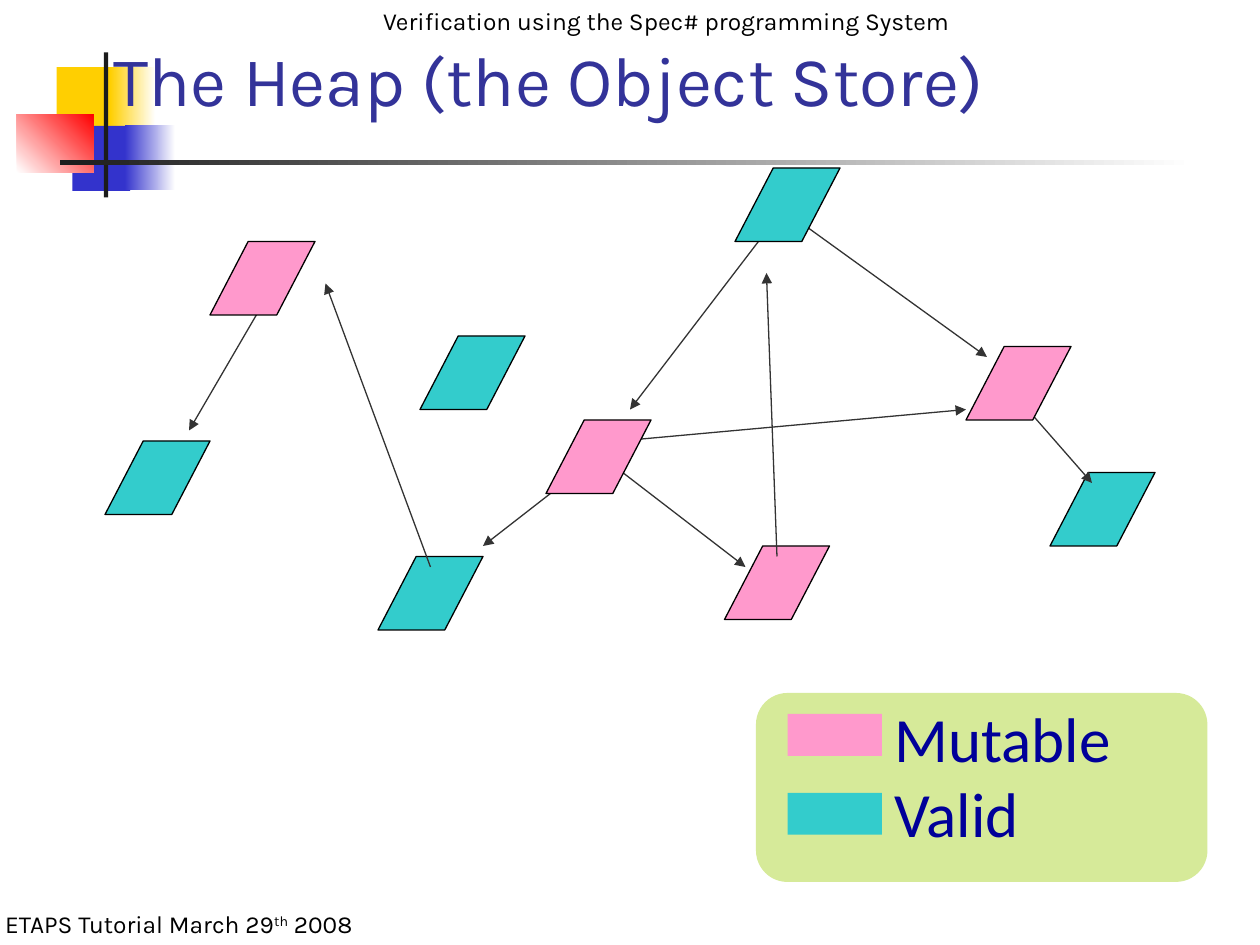
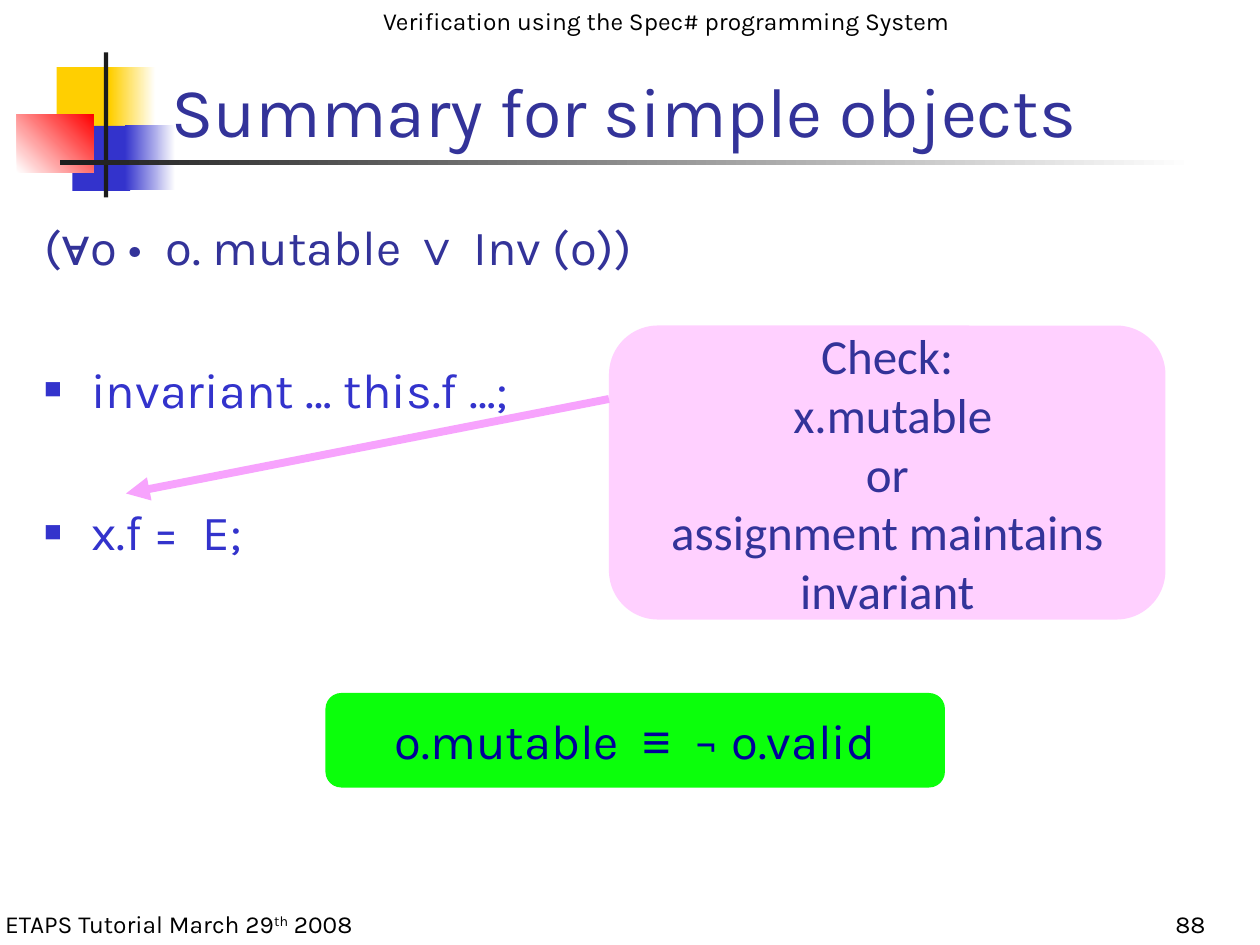
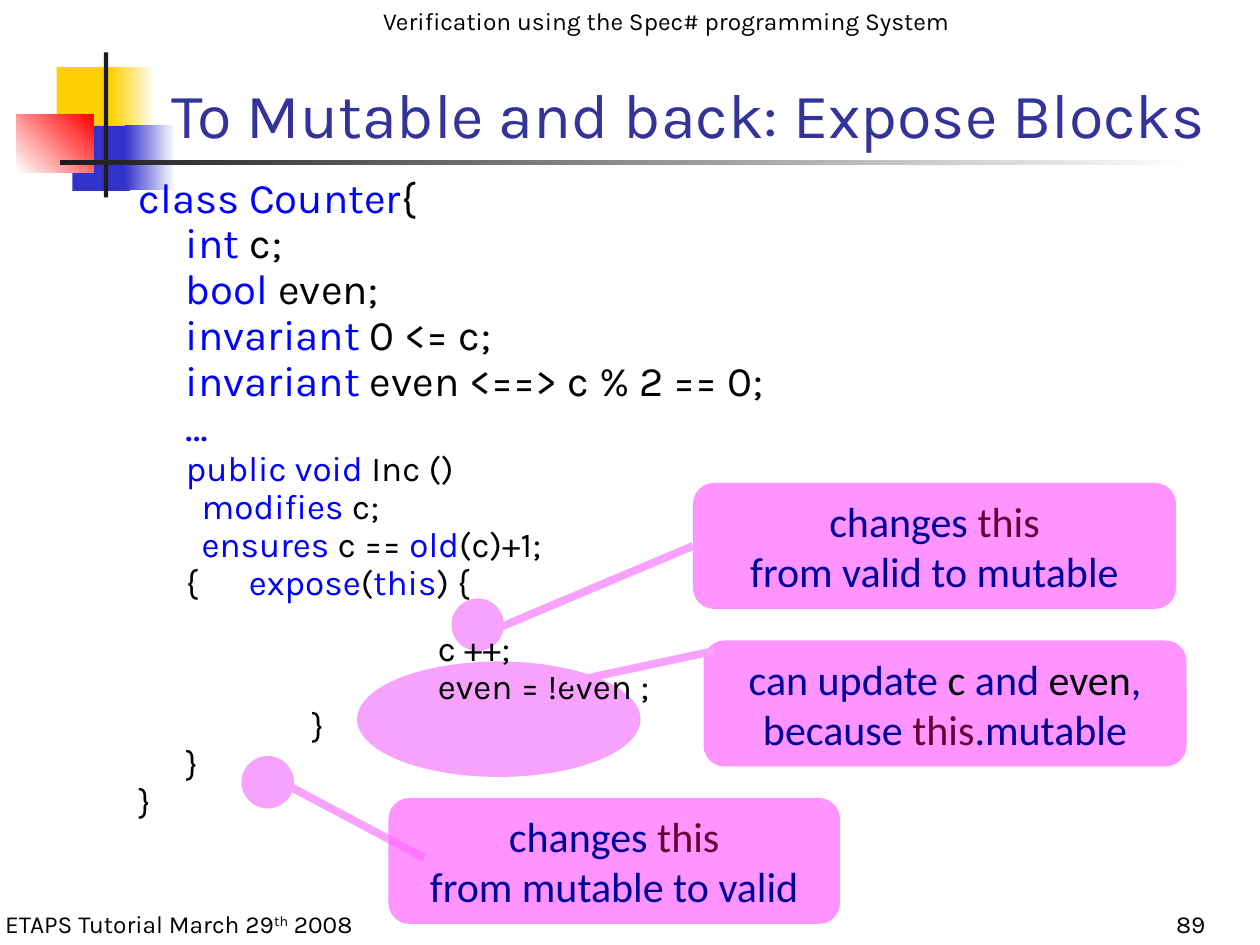
from typing import NamedTuple

from lxml.etree import SubElement
from pptx import Presentation
from pptx.dml.color import RGBColor
from pptx.enum.shapes import MSO_CONNECTOR, MSO_SHAPE
from pptx.enum.text import MSO_ANCHOR, MSO_AUTO_SIZE, PP_ALIGN
from pptx.oxml.ns import qn
from pptx.util import Emu, Pt

PX = 7620
KARLA, CALIBRI, ARIAL = "Karla", "Calibri", "Arial"

BLACK = RGBColor(0x00, 0x00, 0x00)
WHITE = RGBColor(0xFF, 0xFF, 0xFF)
CHARCOAL = RGBColor(0x1C, 0x1C, 0x1C)
ARROW_GREY = RGBColor(0x33, 0x33, 0x33)
YELLOW = RGBColor(0xFF, 0xCF, 0x01)
RED = RGBColor(0xFF, 0x00, 0x00)
BLUE = RGBColor(0x33, 0x33, 0xCC)
TITLE_BLUE = RGBColor(0x33, 0x33, 0x99)
NAVY = RGBColor(0x00, 0x00, 0x99)
KEYWORD_BLUE = RGBColor(0x00, 0x00, 0xFF)
MAROON = RGBColor(0x66, 0x00, 0x33)
MUTABLE = RGBColor(0xFF, 0x99, 0xCC)
VALID = RGBColor(0x33, 0xCC, 0xCC)
LIME = RGBColor(0x99, 0xCC, 0x00)
GREEN = RGBColor(0x0B, 0xFF, 0x0B)
MAGENTA = RGBColor(0xFF, 0x66, 0xFF)
ORCHID = RGBColor(0xF7, 0xA3, 0xFD)


class Box(NamedTuple):
    """A rectangle in px."""
    left: int
    top: int
    width: int
    height: int

    def inner(self, x, y, width, height):
        """Return a box placed relative to this one."""
        return Box(self.left + x, self.top + y, width, height)

    def emu(self):
        """Return the four lengths in EMU."""
        return [Emu(length * PX) for length in self]


PAGE = Box(0, 0, 1200, 900)
TITLE_BOX = Box(151, 0, 1022, 150)


def set_frame(shape, anchor=MSO_ANCHOR.TOP, wrap=True):
    """Prepare the text frame of a shape and return it."""
    frame = shape.text_frame
    frame.auto_size = MSO_AUTO_SIZE.NONE
    frame.vertical_anchor = anchor
    frame.word_wrap = wrap
    return frame


def write(frame, *runs, font=KARLA, size=14, color=BLACK, align=PP_ALIGN.LEFT, before=0,
          spacing=1.0, indent=0, hanging=0, bullet=None, tab=None):
    """Add a paragraph of runs, each a string or a (string, changes) pair."""
    paragraph = frame.paragraphs[-1]
    if paragraph.runs:
        paragraph = frame.add_paragraph()
    paragraph.alignment = align
    paragraph.space_before = Pt(before)
    paragraph.line_spacing = spacing
    for entry in runs:
        text, changes = (entry, {}) if isinstance(entry, str) else entry
        for number, line in enumerate(text.split("\n")):
            if number:
                paragraph.add_line_break()
            if not line:
                continue
            run = paragraph.add_run()
            run.text = line
            run.font.name = changes.get("font", font)
            run.font.size = Pt(size)
            run.font.color.rgb = changes.get("color", color)
            if "baseline" in changes:
                run.font._element.set("baseline", changes["baseline"])
    properties = paragraph._p.get_or_add_pPr()
    properties.set("marL", str(indent * PX))
    properties.set("indent", str(-hanging * PX))
    if bullet:
        tint = SubElement(properties, qn("a:buClr"))
        SubElement(tint, qn("a:srgbClr"), val=str(color))
        SubElement(properties, qn("a:buSzPct"), val="60000")
        SubElement(properties, qn("a:buChar"), char=bullet)
    else:
        SubElement(properties, qn("a:buNone"))
    if tab:
        stops = SubElement(properties, qn("a:tabLst"))
        SubElement(stops, qn("a:tab"), pos=str(tab * PX), algn="l")


def add_block(slide, box, color, kind=MSO_SHAPE.RECTANGLE, fade=None, angle=0,
              opacity=None, outline=None):
    """Add a filled preset shape, solid or fading to a second colour."""
    block = slide.shapes.add_shape(kind, *box.emu())
    block.shadow.inherit = False
    if fade is None:
        block.fill.solid()
        block.fill.fore_color.rgb = color
    else:
        block.fill.gradient()
        block.fill.gradient_angle = angle
        for stop, shade in zip(block.fill.gradient_stops, (color, fade)):
            stop.color.rgb = shade
    if opacity:
        shade = block.element.spPr.find(".//" + qn("a:srgbClr"))
        SubElement(shade, qn("a:alpha"), val=str(opacity * 1000))
    if outline is None:
        block.line.fill.background()
    else:
        block.line.color.rgb = outline
        block.line.width = Pt(0.75)
    return block


def add_line(slide, box, start, end, color, width, arrow=False):
    """Add a straight line between two points of a box."""
    points = [Emu((offset + origin) * PX) for point in (start, end)
              for offset, origin in zip(point, (box.left, box.top))]
    line = slide.shapes.add_connector(MSO_CONNECTOR.STRAIGHT, *points)
    line.line.color.rgb = color
    line.line.width = Pt(width)
    properties = line.element.spPr
    if arrow:
        SubElement(properties.find(qn("a:ln")), qn("a:tailEnd"), type="triangle")
    SubElement(properties, qn("a:effectLst"))
    return line


def add_label(slide, box, *runs, anchor=MSO_ANCHOR.TOP, wrap=True, **format):
    """Add a text box holding one paragraph."""
    label = slide.shapes.add_textbox(*box.emu())
    write(set_frame(label, anchor, wrap), *runs, **format)


def place(placeholder, box):
    """Move a placeholder to a box."""
    placeholder.left, placeholder.top, placeholder.width, placeholder.height = box.emu()


def set_title(slide, text, box=TITLE_BOX, anchor=MSO_ANCHOR.BOTTOM, size=40):
    """Fill and place the title placeholder."""
    title = slide.shapes.title
    place(title, box)
    write(set_frame(title, anchor), text, size=size, color=TITLE_BLUE)


def add_page_number(slide, number):
    """Add the page number at the lower right."""
    add_label(slide, PAGE.inner(1040, 860, 120, 40), str(number),
              anchor=MSO_ANCHOR.BOTTOM, align=PP_ALIGN.RIGHT)


def add_emblem(slide, box):
    """Draw the coloured squares and the crossing bars."""
    add_block(slide, box.inner(38, 14, 58, 62), YELLOW)
    add_block(slide, box.inner(89, 14, 43, 62), YELLOW, fade=WHITE)
    add_block(slide, box.inner(53, 70, 55, 62), BLUE)
    add_block(slide, box.inner(103, 69, 48, 62), BLUE, fade=WHITE)
    add_block(slide, box.inner(0, 59, 73, 55), WHITE, fade=RED, angle=45)
    add_block(slide, box.inner(83, 0, 4, 138), CHARCOAL)
    add_block(slide, box.inner(41, 102, 1080, 5), CHARCOAL, fade=WHITE)


def build_master(deck, slide):
    """Draw the shared parts and move them to the slide master."""
    own = len(slide.shapes)
    add_emblem(slide, PAGE.inner(16, 50, 1122, 138))
    add_label(slide, PAGE.inner(-7, 860, 365, 41), "ETAPS Tutorial March 29",
              ("th", {"baseline": "30000"}), " 2008", wrap=False)
    add_label(slide, PAGE.inner(353, 0, 576, 41),
              "Verification using the Spec# programming System", wrap=False)
    master_tree = deck.slide_master.placeholders[0].element.getparent()
    for number, part in enumerate(list(slide.shapes)[own:], start=101):
        part.element.nvSpPr.cNvPr.set("id", str(number))
        master_tree.append(part.element)


def add_objects(slide, box, objects):
    """Draw heap objects as parallelograms."""
    for x, y, state in objects:
        node = add_block(slide, box.inner(x, y, 100, 70), state,
                         kind=MSO_SHAPE.PARALLELOGRAM, outline=BLACK)
        node.adjustments[0] = 0.52


def add_heap(slide, box):
    """Draw the objects and the references between them."""
    add_objects(slide, box, [(0, 260, VALID), (900, 290, VALID), (590, 360, MUTABLE),
                             (260, 370, VALID), (300, 160, VALID)])
    references = [
        ((150, 130), (80, 250)), ((310, 380), (210, 110)), ((450, 290), (360, 360)),
        ((480, 280), (610, 380)), ((490, 260), (820, 230)), ((630, 60), (500, 230)),
        ((870, 220), (940, 300)), ((660, 50), (840, 180)), ((640, 370), (630, 100)),
    ]
    for start, end in references:
        add_line(slide, box, start, end, ARROW_GREY, 0.75, arrow=True)
    add_objects(slide, box, [(100, 70, MUTABLE), (420, 240, MUTABLE),
                             (820, 170, MUTABLE), (600, 0, VALID)])


def add_legend(slide, box):
    """Explain the two object colours."""
    add_block(slide, box, LIME, kind=MSO_SHAPE.ROUNDED_RECTANGLE, opacity=40)
    add_label(slide, box.inner(120, 0, 300, 156), "Mutable\nValid",
              font=CALIBRI, size=36, color=NAVY)
    for row, state in enumerate((MUTABLE, VALID)):
        add_block(slide, box.inner(30, 20 + row * 75, 90, 40), state)


def add_callout(slide, box, *runs, fill=MAGENTA, opacity=None, **format):
    """Add a rounded box with centred text."""
    callout = add_block(slide, box, fill, kind=MSO_SHAPE.ROUNDED_RECTANGLE, opacity=opacity)
    write(set_frame(callout, MSO_ANCHOR.MIDDLE, wrap=False), *runs,
          align=PP_ALIGN.CENTER, **format)
    return callout


def add_rules(slide, box):
    """Fill the body with the invariant and the two statements."""
    body = slide.placeholders[1]
    place(body, box)
    frame = set_frame(body)
    symbol = {"font": ARIAL}
    write(frame, "(", ("∀", symbol), "o •  o. mutable ", ("∨", symbol), " Inv (o))",
          size=28, color=TITLE_BLUE, before=8, indent=45, hanging=45)
    for statement in ("invariant … this.f …;", "x.f =  E;"):
        write(frame, statement, size=28, color=BLUE, before=48,
              indent=45, hanging=45, bullet="■")


def add_code(slide, box):
    """Fill the body with code whose parts alternate keyword and plain."""
    body = slide.placeholders[1]
    place(body, box)
    frame = set_frame(body)
    declarations = [
        (0, "class Counter", "{"), (45, "int ", "c;"), (45, "bool ", "even;"),
        (45, "invariant ", "0 <= c;"), (45, "invariant ", "even <==> c % 2 == 0;"),
        (45, "…"),
    ]
    method = [
        (45, "public void ", "Inc ()"), (60, "modifies ", "c;"),
        (60, "ensures ", "c ==", " old", "(c)+1;"),
        (45, "", "{\t", "expose", "(", "this", ") {"),
        (285, "", "c ++;"), (285, "", "even = !even ;"),
        (165, "", "}"), (45, "", "}"), (0, "", "}"),
    ]
    for lines, size, gap in ((declarations, 24, 6), (method, 20, 5)):
        for indent, *parts in lines:
            runs = [(part, {"color": BLACK if number % 2 else KEYWORD_BLUE})
                    for number, part in enumerate(parts)]
            write(frame, *runs, size=size, before=21 if "c ++;" in parts else gap,
                  spacing=0.7, indent=indent, tab=120)
    body.element.getparent().append(body.element)


def add_expose_notes(slide, box):
    """Add the callouts on the expose block and their leader lines."""
    this, plain = {"color": MAROON}, {"color": BLACK}
    look = {"font": CALIBRI, "size": 24, "color": NAVY, "opacity": 70}
    add_line(slide, box, (240, 730), (404, 817), ORCHID, 4.5)
    opening = add_callout(slide, box.inner(660, 460, 460, 120), "changes ", ("this\n", this),
                          "from valid to mutable", **look)
    add_callout(slide, box.inner(370, 760, 430, 120), "changes ", ("this\n", this),
                "from mutable to valid", **look)
    add_callout(slide, box.inner(670, 610, 460, 120), "can update ", ("c", plain), " and ",
                ("even", plain), ",\nbecause ", ("this", this), ".mutable", **look)
    leader = add_line(slide, box, (470, 600), (660, 520), ORCHID, 4.5)
    leader.end_connect(opening, 1)
    add_line(slide, box, (540, 650), (680, 620), ORCHID, 4.5)


def build_heap_slide(slide):
    """Show the heap with its legend."""
    set_title(slide, "The Heap (the Object Store)", PAGE.inner(96, 20, 1070, 110),
              MSO_ANCHOR.MIDDLE)
    add_heap(slide, PAGE.inner(100, 160, 1000, 440))
    add_legend(slide, PAGE.inner(720, 660, 430, 180))


def build_summary_slide(slide):
    """Summarise the rules for simple objects."""
    set_title(slide, "Summary for simple objects")
    add_rules(slide, PAGE.inner(30, 200, 1130, 650))
    add_page_number(slide, 88)
    add_callout(slide, PAGE.inner(310, 660, 590, 90), "o.mutable  ", ("≡", {"font": ARIAL}),
                "  ¬ o.valid", fill=GREEN, size=28, color=NAVY)
    add_callout(slide, PAGE.inner(580, 310, 530, 280),
                "Check:\n x.mutable\nor\nassignment maintains\ninvariant",
                opacity=30, font=CALIBRI, size=28, color=TITLE_BLUE)
    add_line(slide, PAGE, (580, 380), (120, 470), ORCHID, 4.5, arrow=True)


def build_expose_slide(slide):
    """Explain expose blocks on a code sample."""
    set_title(slide, "To Mutable and back: Expose Blocks", size=36)
    add_page_number(slide, 89)
    for spot in ((230, 720, 50, 50), (340, 630, 270, 110), (430, 570, 50, 50)):
        add_block(slide, PAGE.inner(*spot), ORCHID, kind=MSO_SHAPE.OVAL)
    add_code(slide, PAGE.inner(120, 170, 1030, 680))
    add_expose_notes(slide, PAGE)


def main():
    """Build the deck and save it."""
    deck = Presentation()
    deck.slide_width, deck.slide_height = PAGE.emu()[2:]
    title_only, title_and_body = deck.slide_layouts[5], deck.slide_layouts[1]
    heap = deck.slides.add_slide(title_only)
    build_master(deck, heap)
    build_heap_slide(heap)
    build_summary_slide(deck.slides.add_slide(title_and_body))
    build_expose_slide(deck.slides.add_slide(title_and_body))
    deck.save("out.pptx")


if __name__ == "__main__":
    main()
